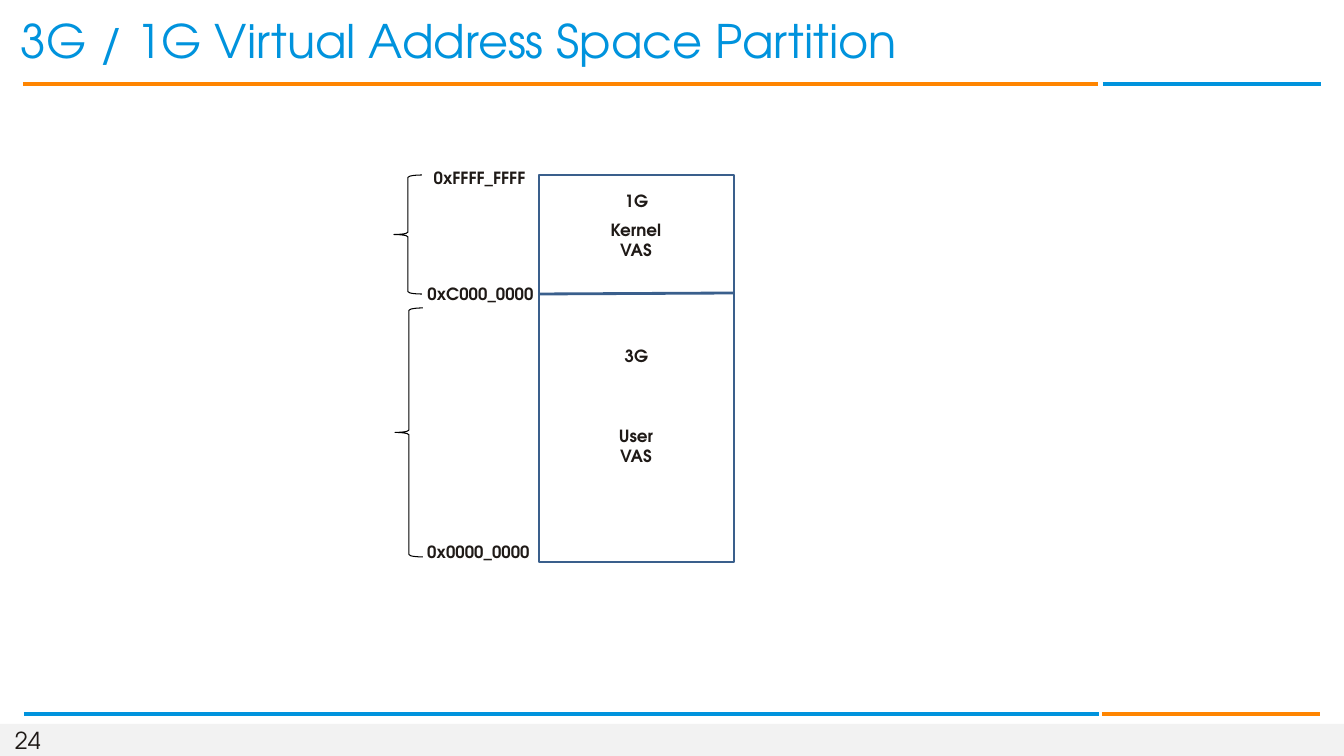
"""Build the slide on the 3G / 1G virtual address space partition."""
from lxml import etree
from pptx import Presentation
from pptx.dml.color import RGBColor
from pptx.enum.shapes import MSO_CONNECTOR, MSO_SHAPE
from pptx.enum.text import MSO_ANCHOR, PP_ALIGN
from pptx.oxml.ns import qn
from pptx.util import Pt

LINE = MSO_CONNECTOR.STRAIGHT
RECT, BRACE = MSO_SHAPE.RECTANGLE, MSO_SHAPE.LEFT_BRACE
MID = MSO_ANCHOR.MIDDLE
LEFT, MIDST = PP_ALIGN.LEFT, PP_ALIGN.CENTER
FONT = "TeX Gyre Adventor"
BLUE, ORANGE, NAVY, INK = "0093DD", "FF8500", "3A5F8C", "1F1A17"
PX = 914400 / 100.8


def emu(*nums):
    return [round(n * PX) for n in nums]


def write(shape, lines, size, hue, bold=False, align=MIDST, pad=(7, 4), wrap=True):
    frame = shape.text_frame
    frame.word_wrap = wrap
    frame.vertical_anchor = MID
    frame.margin_left = frame.margin_right = emu(pad[0])[0]
    frame.margin_top = frame.margin_bottom = emu(pad[1])[0]
    for i, line in enumerate(lines):
        para = frame.add_paragraph() if i else frame.paragraphs[0]
        para.alignment = align
        run = para.add_run()
        run.text = line
        run.font.name = FONT
        run.font.size = Pt(size)
        run.font.bold = bold
        run.font.color.rgb = RGBColor.from_string(hue)


deck = Presentation()
deck.slide_width, deck.slide_height = emu(1344, 756)
slide = deck.slides.add_slide(deck.slide_layouts[5])
shapes = slide.shapes

title = shapes.title
title.left, title.top, title.width, title.height = emu(14, 11, 1204, 58)
write(title, ["3G / 1G Virtual Address Space Partition"], 33, BLUE, align=LEFT)

for kind, box, fill, edge, width in [
    (RECT, (0, 724, 1344, 32), "F2F2F2", None, 0),
    (RECT, (539, 175, 195, 387), None, NAVY, 2),
    (BRACE, (394, 175, 28, 119), None, "000000", 0.75),
    (BRACE, (395, 308, 28, 249), None, "000000", 0.75),
]:
    shape = shapes.add_shape(kind, *emu(*box))
    shape.shadow.inherit = False
    if fill:
        shape.fill.solid()
        shape.fill.fore_color.rgb = RGBColor.from_string(fill)
    else:
        shape.fill.background()
    if edge:
        shape.line.color.rgb = RGBColor.from_string(edge)
        shape.line.width = Pt(width)
    else:
        shape.line.fill.background()

for ends, hue, width in [
    ((23, 84, 1098, 84), ORANGE, 3),
    ((1103, 84, 1321, 84), BLUE, 3),
    ((24, 714, 1099, 714), BLUE, 3),
    ((1102, 714, 1320, 714), ORANGE, 3),
    ((539, 294, 733, 293), NAVY, 2),
]:
    rule = shapes.add_connector(LINE, *emu(*ends))
    rule.line.color.rgb = RGBColor.from_string(hue)
    rule.line.width = Pt(width)
    etree.SubElement(rule._element.spPr, qn("a:effectLst"))

for box, lines in [
    ((415, 538, 127, 28), ["0x0000_0000"]),
    ((417, 280, 127, 28), ["0xC000_0000"]),
    ((416, 164, 127, 28), ["0xFFFF_FFFF"]),
    ((600, 187, 73, 28), ["1G"]),
    ((600, 342, 73, 28), ["3G"]),
    ((580, 216, 112, 48), ["Kernel", "VAS"]),
    ((580, 422, 112, 48), ["User", "VAS"]),
]:
    write(shapes.add_textbox(*emu(*box)), lines, 12, INK, bold=True)

page = shapes.add_textbox(*emu(15, 726, 28, 28))
write(page, ["24"], 16.7, INK, align=LEFT, pad=(0, 0), wrap=False)

deck.save("out.pptx")
